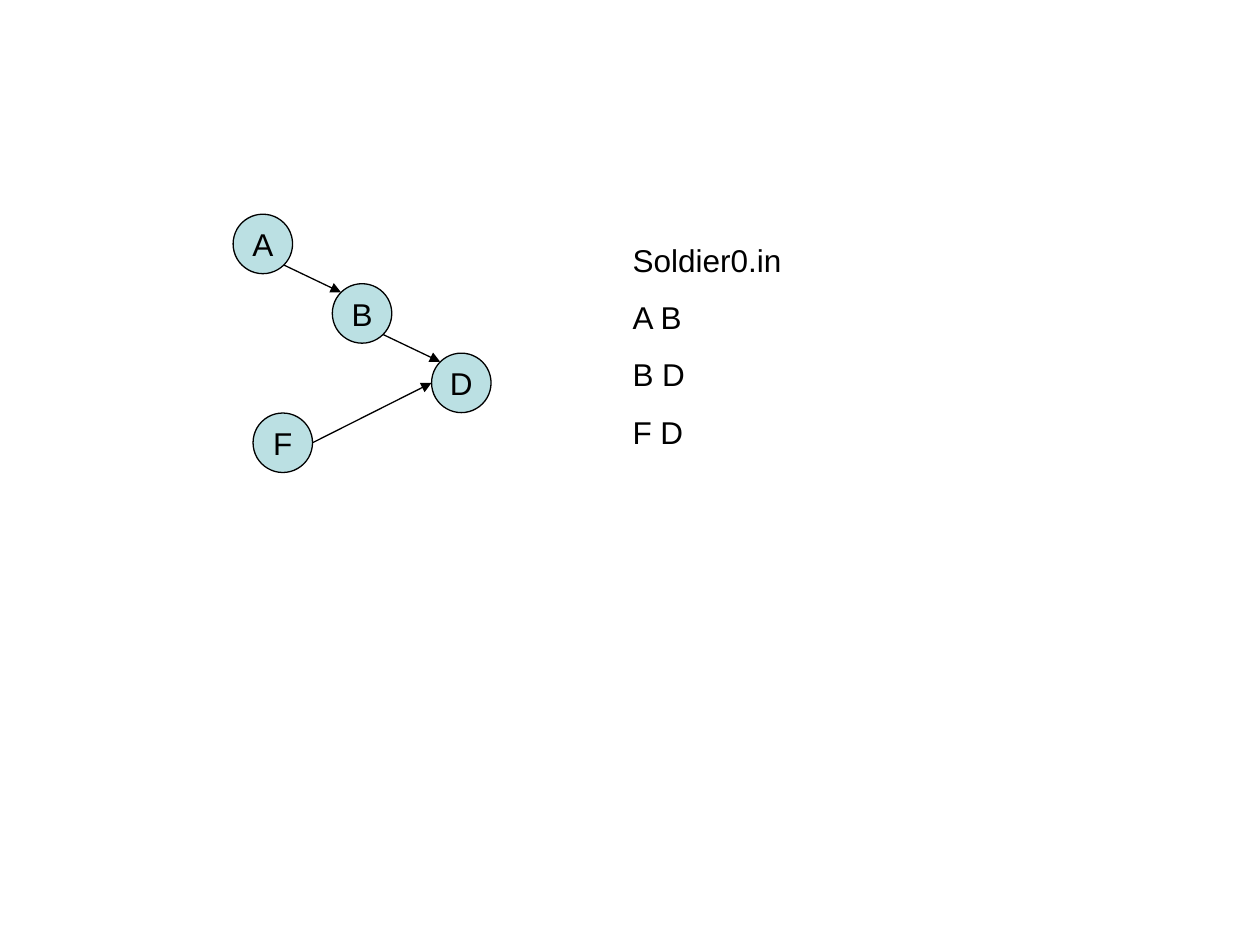
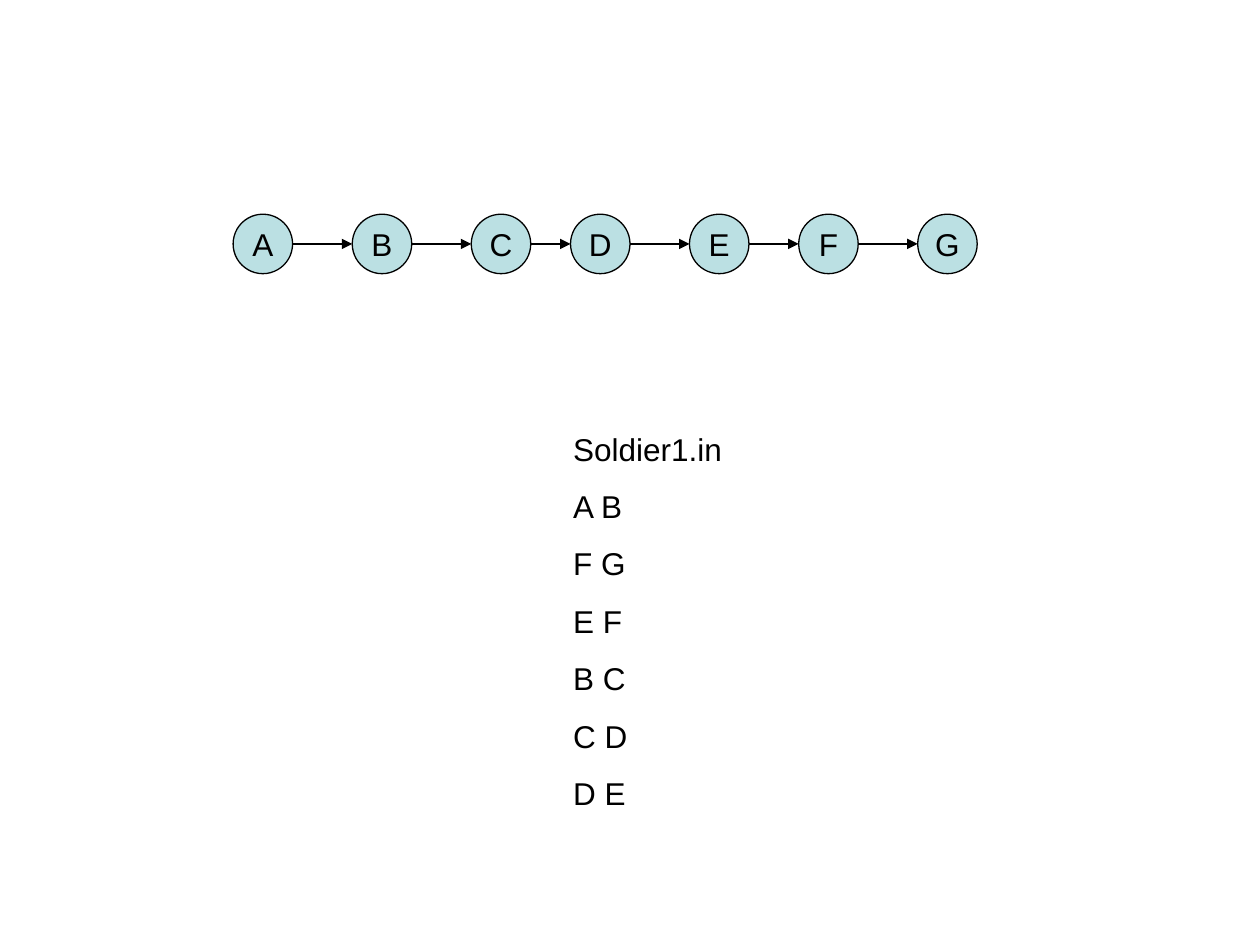
from pptx import Presentation
from pptx.dml.color import RGBColor
from pptx.enum.shapes import MSO_CONNECTOR, MSO_SHAPE
from pptx.enum.text import MSO_ANCHOR, MSO_AUTO_SIZE, PP_ALIGN
from pptx.oxml.ns import qn
from pptx.util import Pt
from lxml import etree

CIRCLE = MSO_SHAPE.OVAL
STRAIGHT = MSO_CONNECTOR.STRAIGHT
MIDDLE = MSO_ANCHOR.MIDDLE
CENTER = PP_ALIGN.CENTER
FIT_TEXT = MSO_AUTO_SIZE.SHAPE_TO_FIT_TEXT

COLORS = {"node": "BBE0E3", "ink": "000000"}
FONT = {"name": "Arial", "size": Pt(18)}
BLANK_LAYOUT = 6
RADIUS = 17
DIAGONAL = 0.71 * RADIUS
SITES = {
    "left": (-RADIUS, 0),
    "right": (RADIUS, 0),
    "upper left": (-DIAGONAL, -DIAGONAL),
    "lower right": (DIAGONAL, DIAGONAL),
}
LEVEL = ("right", "left")
DOWNHILL = ("lower right", "upper left")


def set_all(target, values):
    for name, value in values.items():
        setattr(target, name, value)


class GraphDeck:
    """Holds the shared style, the current page and its node centres."""

    def __init__(self):
        self.deck = Presentation()
        set_all(self.deck, {"slide_width": Pt(720), "slide_height": Pt(540)})

    def new_page(self):
        layout = self.deck.slide_layouts[BLANK_LAYOUT]
        self.page = self.deck.slides.add_slide(layout)
        self.centers = {}

    def color(self, name):
        return RGBColor.from_string(COLORS[name])

    def outline(self, line):
        line.width = Pt(0.75)
        line.color.rgb = self.color("ink")

    def add_span(self, paragraph, text):
        span = paragraph.add_run()
        span.text = text
        set_all(span.font, FONT)
        span.font.color.rgb = self.color("ink")

    def node(self, label, x, y):
        """Draw a labelled circle centred on x, y."""
        self.centers[label] = (x, y)
        circle = self.page.shapes.add_shape(
            CIRCLE, Pt(x - RADIUS), Pt(y - RADIUS), Pt(2 * RADIUS), Pt(2 * RADIUS))
        circle.shadow.inherit = False
        circle.fill.solid()
        circle.fill.fore_color.rgb = self.color("node")
        self.outline(circle.line)
        set_all(circle.text_frame, {"word_wrap": False, "vertical_anchor": MIDDLE})
        paragraph = circle.text_frame.paragraphs[0]
        paragraph.alignment = CENTER
        self.add_span(paragraph, label)

    def arrow(self, start, end, sites):
        """Join two nodes, leaving and arriving at the named sites."""
        ends = []
        for label, site in zip((start, end), sites):
            ends += [Pt(center + offset) for center, offset
                     in zip(self.centers[label], SITES[site])]
        arrow = self.page.shapes.add_connector(STRAIGHT, *ends)
        self.outline(arrow.line)
        properties = arrow.element.spPr
        etree.SubElement(properties.find(qn("a:ln")), qn("a:tailEnd"), type="triangle")
        etree.SubElement(properties, qn("a:effectLst"))

    def listing(self, lines, left, top, width, height):
        box = self.page.shapes.add_textbox(Pt(left), Pt(top), Pt(width), Pt(height))
        frame = box.text_frame
        set_all(frame, {"word_wrap": True, "auto_size": FIT_TEXT})
        for number, line in enumerate(lines):
            paragraph = frame.add_paragraph() if number else frame.paragraphs[0]
            paragraph.space_before = Pt(11.2)
            self.add_span(paragraph, line)

    def graph_page(self, file_name, nodes, edges, listing_place):
        """Draw a graph beside the input file that lists its edges."""
        self.new_page()
        for label, center in nodes.items():
            self.node(label, *center)
        for edge, sites in edges.items():
            self.arrow(*edge, sites)
        self.listing([file_name] + [" ".join(edge) for edge in edges], *listing_place)


def main():
    graphs = GraphDeck()
    left, top = 150.2, 139.4

    slope = {label: (left + 56.7 * step, top + 39.7 * step)
             for step, label in enumerate("ABD")}
    graphs.graph_page(
        "Soldier0.in",
        {**slope, "F": (161.6, 253)},
        {"AB": DOWNHILL, "BD": DOWNHILL, "FD": LEVEL},
        (354.4, 134, 124.6, 127.4))

    columns = (left, 218.3, 286.3, 343, 411, 473.4, 541.4)
    graphs.graph_page(
        "Soldier1.in",
        {label: (x, top) for label, x in zip("ABCDEFG", columns)},
        dict.fromkeys(("AB", "FG", "EF", "BC", "CD", "DE"), LEVEL),
        (320.4, 242, 170, 226))

    graphs.deck.save("out.pptx")


if __name__ == "__main__":
    main()
